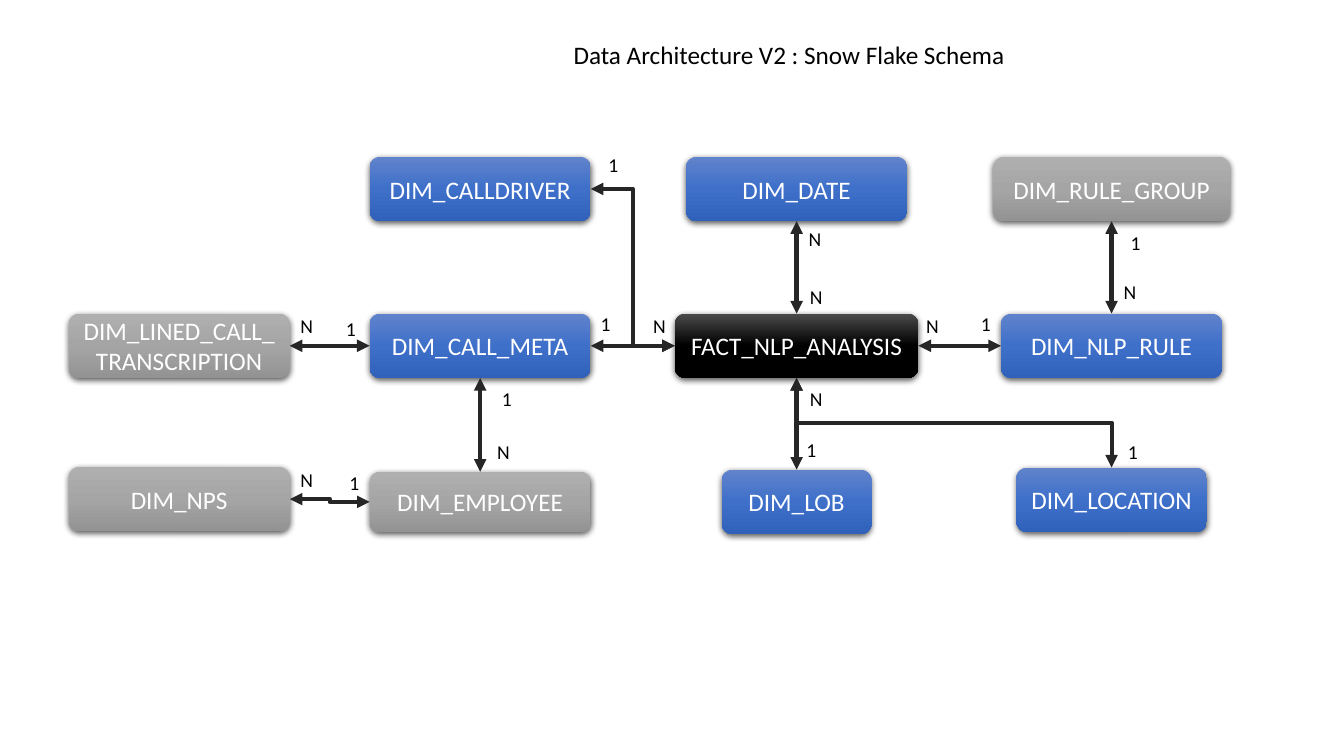
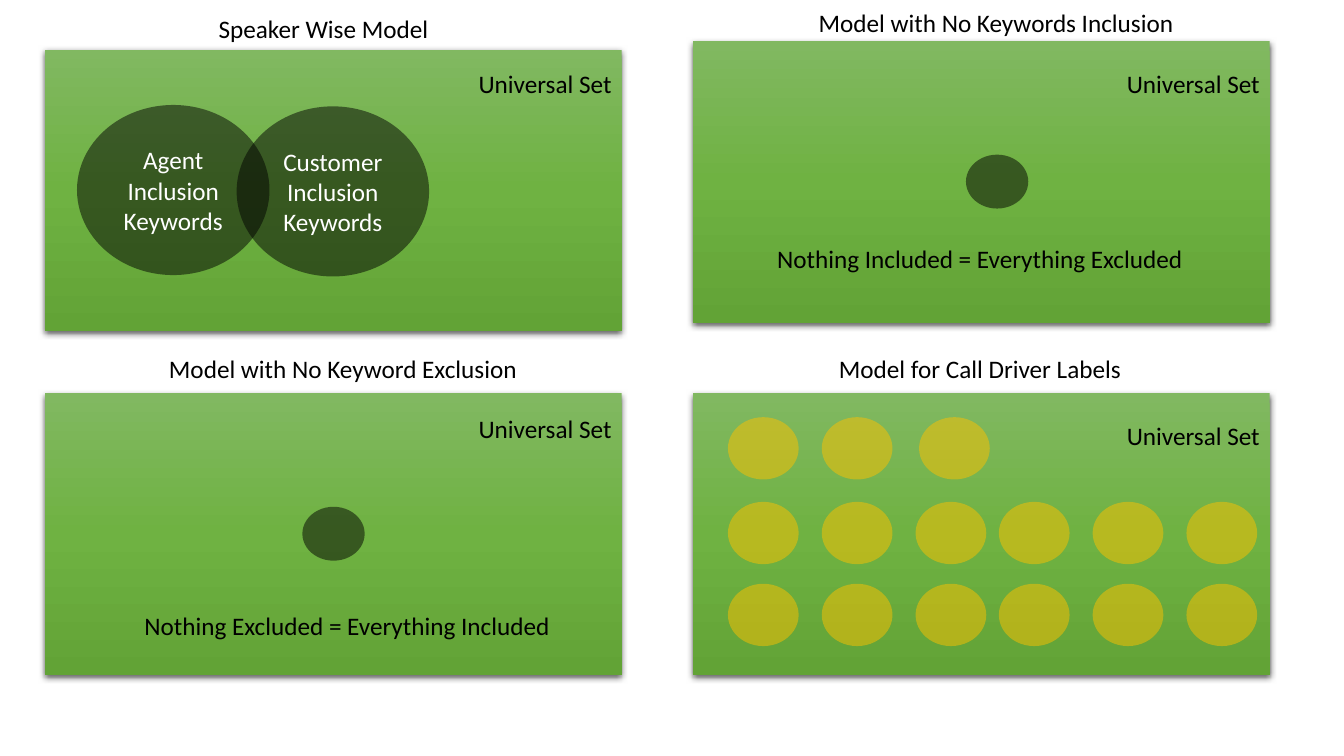
import copy

import lxml.etree
import pptx
import pptx.dml.color
import pptx.enum.shapes
import pptx.enum.text
import pptx.oxml.ns
import pptx.util

Pt = pptx.util.Pt
qn = pptx.oxml.ns.qn
add = lxml.etree.SubElement
KIND = pptx.enum.shapes.MSO_SHAPE
LINK = pptx.enum.shapes.MSO_CONNECTOR
ALIGN = pptx.enum.text.PP_ALIGN
ANCHOR = pptx.enum.text.MSO_ANCHOR

BLACK, WHITE, DARK, GOLD = "000000", "FFFFFF", "262626", "FFC000"
BLUE = ("6183CB", "3E70CA", "3062BB")
GREY = ("AFAFAF", "A5A5A5", "939393")
COAL = ("4B4B4B", BLACK, BLACK)
GREEN = ("81B861", "6FB242", "62A336")
TOP, LEFT, BOTTOM, RIGHT = range(4)


def paint(fill, *tones, alpha=None):
    """Fill with one tone, or with a three-stop gradient running downwards."""
    if len(tones) == 1:
        fill.solid()
        fill.fore_color.rgb = pptx.dml.color.RGBColor.from_string(tones[0])
        if alpha:
            tone = fill._xPr.find(".//" + qn("a:srgbClr"))
            add(tone, qn("a:alpha"), val=str(alpha * 1000))
        return
    fill.gradient()
    fill.gradient_angle = 270
    first = fill.gradient_stops[0]._gs
    first.addnext(copy.deepcopy(first))
    for stop, place, tone in zip(fill.gradient_stops, (0, 0.5, 1), tones):
        stop.position = place
        stop.color.rgb = pptx.dml.color.RGBColor.from_string(tone)


def put(slide, text, x, y, w, h, kind=None, tones=(), alpha=None,
        size=18, color=BLACK, align=ALIGN.CENTER):
    """Place text in the title, in a preset shape or in a plain text box."""
    if kind == "title":
        shape = slide.shapes.title
        shape.left, shape.top, shape.width, shape.height = map(Pt, (x, y, w, h))
    elif kind is None:
        shape = slide.shapes.add_textbox(Pt(x), Pt(y), Pt(w), Pt(h))
    else:
        shape = slide.shapes.add_shape(kind, Pt(x), Pt(y), Pt(w), Pt(h))
        paint(shape.fill, *tones, alpha=alpha)
        shape.line.fill.background()
        shape.shadow.inherit = False
        if len(tones) > 1:
            glow = add(shape._element.spPr.find(qn("a:effectLst")), qn("a:outerShdw"),
                       blurRad=str(Pt(4.5)), dist=str(Pt(1.5)), dir="5400000",
                       algn="ctr", rotWithShape="0")
            add(add(glow, qn("a:srgbClr"), val=BLACK), qn("a:alpha"), val="63000")
    if text:
        frame = shape.text_frame
        frame.word_wrap = True
        frame.auto_size = pptx.enum.text.MSO_AUTO_SIZE.NONE
        frame.vertical_anchor = ANCHOR.TOP if kind in (None, "title") else ANCHOR.MIDDLE
        para = frame.paragraphs[0]
        para.text = text
        para.alignment = align
        para.font.name = "Calibri"
        para.font.size = Pt(size)
        paint(para.font.fill, color)
    return shape


deck = pptx.Presentation()
deck.slide_width, deck.slide_height = Pt(960), Pt(540)

# Slide 1: snowflake schema
slide = deck.slides.add_slide(deck.slide_layouts[5])
put(slide, "Data Architecture V2 : Snow Flake Schema", 402.5, 24.5, 340, 29,
    kind="title", align=ALIGN.LEFT)

# name, centre x, top, width, height, tones
tables = [
    ("DIM_CALLDRIVER", 343, 112, 158, 46, BLUE),
    ("DIM_DATE", 569, 112, 158, 46, BLUE),
    ("DIM_RULE_GROUP", 794, 112, 169, 46, GREY),
    ("DIM_LINED_CALL_TRANSCRIPTION", 128, 224, 158, 46, GREY),
    ("DIM_CALL_META", 343, 224, 158, 46, BLUE),
    ("FACT_NLP_ANALYSIS", 569, 224, 174, 46, COAL),
    ("DIM_NLP_RULE", 794, 224, 158, 46, BLUE),
    ("DIM_NPS", 128, 333.5, 158, 46, GREY),
    ("DIM_EMPLOYEE", 343, 337, 158, 43, GREY),
    ("DIM_LOB", 569, 335.5, 107, 46, BLUE),
    ("DIM_LOCATION", 794, 334, 136, 46, BLUE),
]
nodes = {}
for name, mid, top, w, h, tones in tables:
    nodes[name] = put(slide, name, mid - w / 2, top, w, h,
                      kind=KIND.ROUNDED_RECTANGLE, tones=tones, color=WHITE)

links = [
    ("DIM_DATE", BOTTOM, "FACT_NLP_ANALYSIS", TOP, LINK.STRAIGHT),
    ("DIM_CALL_META", RIGHT, "FACT_NLP_ANALYSIS", LEFT, LINK.STRAIGHT),
    ("FACT_NLP_ANALYSIS", RIGHT, "DIM_NLP_RULE", LEFT, LINK.STRAIGHT),
    ("FACT_NLP_ANALYSIS", BOTTOM, "DIM_LOB", TOP, LINK.STRAIGHT),
    ("DIM_CALL_META", BOTTOM, "DIM_EMPLOYEE", TOP, LINK.STRAIGHT),
    ("DIM_LINED_CALL_TRANSCRIPTION", RIGHT, "DIM_CALL_META", LEFT, LINK.STRAIGHT),
    ("DIM_RULE_GROUP", BOTTOM, "DIM_NLP_RULE", TOP, LINK.STRAIGHT),
    ("DIM_NPS", RIGHT, "DIM_EMPLOYEE", LEFT, LINK.ELBOW),
    ("FACT_NLP_ANALYSIS", LEFT, "DIM_CALLDRIVER", RIGHT, LINK.ELBOW),
]
lines = []
for start, side, end, far, kind in links:
    line = slide.shapes.add_connector(kind, 0, 0, 0, 0)
    line.begin_connect(nodes[start], side)
    line.end_connect(nodes[end], far)
    lines.append(line)

# The elbow to DIM_LOCATION leaves vertically, so it is turned by 270 degrees
bend = slide.shapes.add_connector(LINK.ELBOW, Pt(649.5), Pt(414.5), Pt(713.5), Pt(189.5))
bend._element.spPr.find(qn("a:xfrm")).set("rot", "16200000")
for line in lines + [bend]:
    line.line.width = Pt(3)
    paint(line.line.fill, DARK)
    stroke = line._element.spPr.find(qn("a:ln"))
    for tip in ("a:headEnd", "a:tailEnd"):
        add(stroke, qn(tip), type="triangle")
    add(line._element.spPr, qn("a:effectLst"))

marks = {
    "N": [(570.5, 158.5), (571.5, 200), (571.5, 273), (459.5, 221), (654.5, 221),
          (348, 311), (207.5, 221), (207.5, 330.5), (795.5, 196.5)],
    "1": [(351.5, 273), (422, 219.5), (693.5, 219.5), (800.5, 161.5), (240, 222.5),
          (569, 309), (427.5, 106), (242.5, 332.5), (798.5, 311)],
}
for mark, spots in marks.items():
    for x, y in spots:
        put(slide, mark, x, y, 25, 24, size=14, align=ALIGN.LEFT)

# Slide 2: four keyword models
slide = deck.slides.add_slide(deck.slide_layouts[6])

# caption, its centre x and top, panel left and top, top of the set label
panels = [
    ("Speaker Wise Model", 231, 6, 32, 35.5, 45.5),
    ("Model with No Keywords Inclusion", 711.5, 2, 495, 29.5, 45.5),
    ("Model with No Keyword Exclusion", 245, 248.5, 32, 281, 291.5),
    ("Model for Call Driver Labels", 700, 248.5, 495, 281, 297),
]
for text, mid, y, left, top, label in panels:
    put(slide, "", left, top, 412, 201, kind=KIND.RECTANGLE, tones=GREEN)
    put(slide, text, mid - 150, y, 300, 29)
    put(slide, "Universal Set", left + 282, label, 130, 29, align=ALIGN.RIGHT)

for text, mid, y in [("Nothing Included = Everything Excluded", 700, 170),
                     ("Nothing Excluded = Everything Included", 248, 432.5)]:
    put(slide, text, mid - 165, y, 330, 29)

for text, x, y, w, h in [("Agent Inclusion Keywords", 55, 75, 137.5, 121.5),
                         ("Customer Inclusion Keywords", 169, 76, 137.5, 121.5),
                         ("", 690, 110.5, 44.5, 38.5),
                         ("", 216, 362, 44.5, 38.5)]:
    put(slide, text, x, y, w, h, kind=KIND.OVAL, tones=(BLACK,), alpha=50, color=WHITE)

row = [start + 67 * i for start in (520, 713.5) for i in range(3)]
for y, spots in [(298, (520, 587, 656.5)), (358.5, row), (417, row)]:
    for x in spots:
        put(slide, "", x, y, 50.5, 44.5, kind=KIND.OVAL, tones=(GOLD,), alpha=50)

deck.save("out.pptx")
